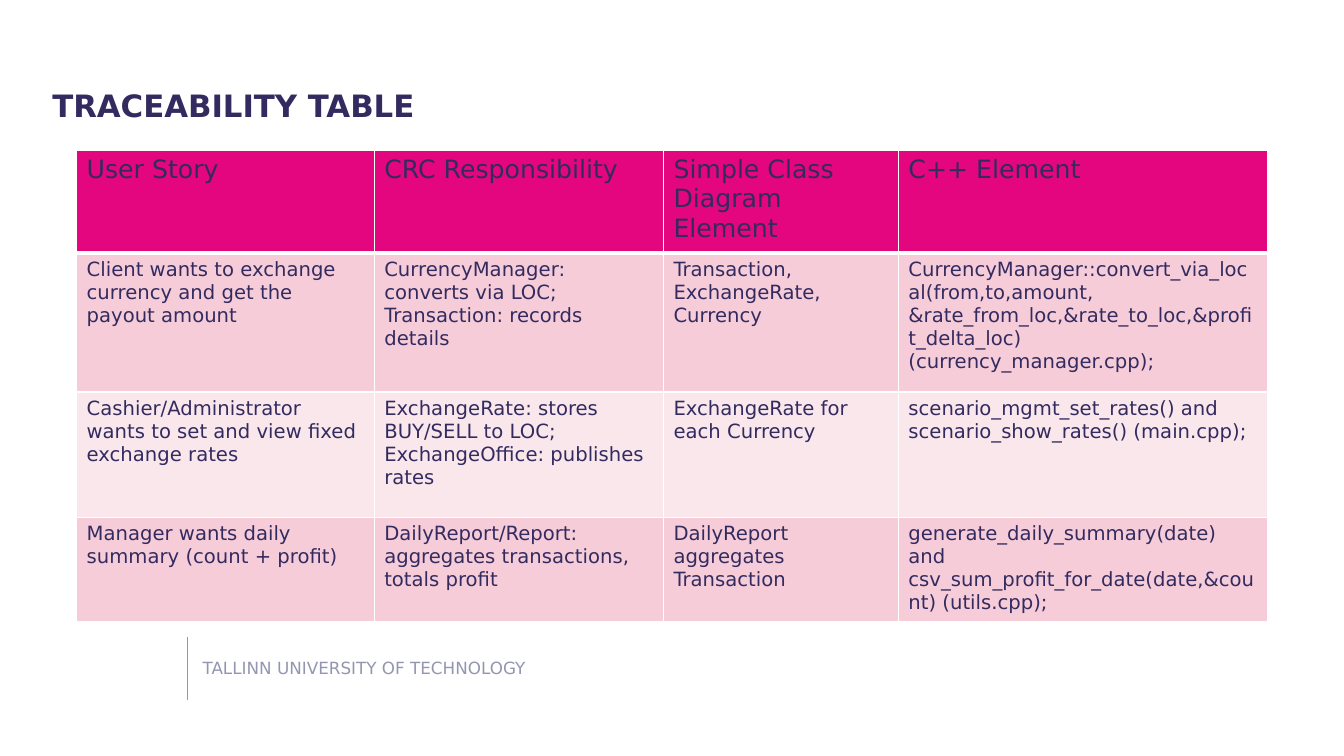
from dataclasses import dataclass

from lxml import etree
from pptx import Presentation
from pptx import util as u
from pptx.dml.color import RGBColor
from pptx.enum import shapes, text
from pptx.oxml import ns


@dataclass(frozen=True)
class Theme:
    """Colours, type sizes and font of the slide."""
    font: str = "DejaVu Sans"
    ink: str = "332B60"
    muted: str = "9396B0"
    header: str = "E4067E"
    bands: tuple = ("F5CCD8", "FAE7EC")
    border: str = "FFFFFF"
    title_size: int = 22
    header_size: int = 18
    body_size: int = 14
    footer_size: int = 12


THEME = Theme()
COLUMN_WIDTHS = (212.6, 206.6, 167.8, 263.5)
ROW_HEIGHTS = (73.4, 99.4, 89.3, 73)
ROWS = (
    ("User Story", "CRC Responsibility", "Simple Class Diagram Element", "C++ Element"),
    ("Client wants to exchange currency and get the payout amount",
     "CurrencyManager: converts via LOC; Transaction: records details",
     "Transaction, ExchangeRate, Currency",
     "CurrencyManager::convert_via_local(from,to,amount, "
     "&rate_from_loc,&rate_to_loc,&profit_delta_loc) (currency_manager.cpp);"),
    ("Cashier/Administrator wants to set and view fixed exchange rates",
     "ExchangeRate: stores BUY/SELL to LOC; ExchangeOffice: publishes rates",
     "ExchangeRate for each Currency",
     "scenario_mgmt_set_rates() and scenario_show_rates() (main.cpp);"),
    ("Manager wants daily summary (count + profit)",
     "DailyReport/Report: aggregates transactions, totals profit",
     "DailyReport aggregates Transaction",
     "generate_daily_summary(date) and "
     "csv_sum_profit_for_date(date,&count) (utils.cpp);"),
)


def format_text(frame, size, color, bold=False):
    """Apply the theme font to every run of a text frame."""
    for paragraph in frame.paragraphs:
        for run in paragraph.runs:
            run.font.name = THEME.font
            run.font.size = u.Pt(size)
            run.font.bold = bold
            run.font.color.rgb = RGBColor.from_string(color)


def add_label(slide, wording, box, size, color, bold=False):
    """Add a vertically centred text box without insets."""
    shape = slide.shapes.add_textbox(*(u.Pt(length) for length in box))
    frame = shape.text_frame
    frame.text = wording
    frame.word_wrap = True
    frame.vertical_anchor = text.MSO_ANCHOR.MIDDLE
    frame.margin_left = frame.margin_right = frame.margin_top = frame.margin_bottom = 0
    format_text(frame, size, color, bold)


def add_rule(slide, left, top, bottom):
    """Add the thin vertical line beside the footer."""
    ends = (u.Pt(length) for length in (left, top, left, bottom))
    line = slide.shapes.add_connector(shapes.MSO_CONNECTOR.STRAIGHT, *ends)
    line.line.color.rgb = RGBColor.from_string(THEME.muted)
    line.line.width = u.Pt(0.5)
    etree.SubElement(line._element.spPr, ns.qn("a:effectLst"))


def set_borders(cell, bottom_width):
    """Draw the four borders of a cell, placed before its fill."""
    properties = cell._tc.get_or_add_tcPr()
    widths = {"a:lnL": 1, "a:lnR": 1, "a:lnT": 1, "a:lnB": bottom_width}
    for position, (tag, width) in enumerate(widths.items()):
        border = etree.Element(ns.qn(tag), w=str(u.Pt(width)))
        fill = etree.SubElement(border, ns.qn("a:solidFill"))
        etree.SubElement(fill, ns.qn("a:srgbClr"), val=THEME.border)
        properties.insert(position, border)


def add_traceability_table(slide, left, top):
    """Add the table with a strong header and banded rows."""
    box = (left, top, sum(COLUMN_WIDTHS), sum(ROW_HEIGHTS))
    table = slide.shapes.add_table(
        len(ROWS), len(COLUMN_WIDTHS), *(u.Pt(length) for length in box)).table
    for column, width in zip(table.columns, COLUMN_WIDTHS):
        column.width = u.Pt(width)
    for index, (row, height, wordings) in enumerate(zip(table.rows, ROW_HEIGHTS, ROWS)):
        row.height = u.Pt(height)
        is_header = index == 0
        color = THEME.header if is_header else THEME.bands[(index - 1) % 2]
        size = THEME.header_size if is_header else THEME.body_size
        for cell, wording in zip(row.cells, wordings):
            cell.text_frame.text = wording
            format_text(cell.text_frame, size, THEME.ink)
            cell.fill.solid()
            cell.fill.fore_color.rgb = RGBColor.from_string(color)
            set_borders(cell, 3 if is_header else 1)


def main():
    """Build the slide and save it."""
    presentation = Presentation()
    presentation.slide_width, presentation.slide_height = u.Pt(960), u.Pt(540)
    slide = presentation.slides.add_slide(presentation.slide_layouts[6])
    add_label(slide, "TALLINN UNIVERSITY OF TECHNOLOGY", (144.7, 470.2, 246.2, 13.7),
              THEME.footer_size, THEME.muted)
    add_rule(slide, 133.9, 455, 499.7)
    add_label(slide, "TRACEABILITY TABLE", (37.4, 43.2, 826.6, 64.1),
              THEME.title_size, THEME.ink, bold=True)
    add_traceability_table(slide, 54.7, 107.3)
    presentation.save("out.pptx")


if __name__ == "__main__":
    main()
